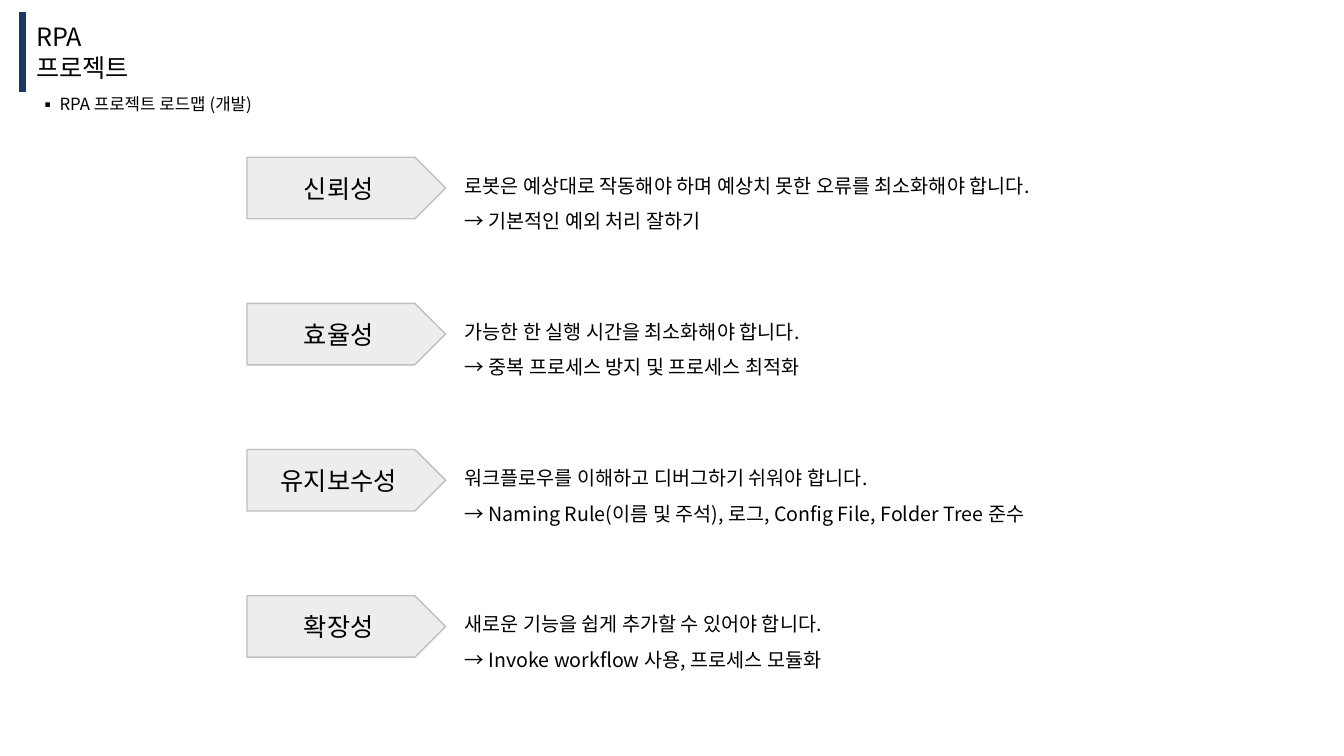
"""Build the RPA roadmap slide: four development qualities, each with its guideline."""
from dataclasses import dataclass

from lxml import etree
from pptx import Presentation
from pptx import util as u
from pptx.dml.color import RGBColor
from pptx.enum import shapes, text
from pptx.oxml.ns import qn


@dataclass(frozen=True)
class Theme:
    font: str = "Noto Sans CJK KR"
    ink: RGBColor = RGBColor(0, 0, 0)
    accent: RGBColor = RGBColor(0x20, 0x38, 0x64)
    fill: RGBColor = RGBColor(0xED, 0xED, 0xED)
    edge: RGBColor = RGBColor(0xBF, 0xBF, 0xBF)
    heading: int = 18
    body: int = 14
    small: int = 12


def write(sp, content, size, align=text.PP_ALIGN.LEFT, spacing=1.0,
          anchor=text.MSO_ANCHOR.TOP):
    tf = sp.text_frame
    tf.text = content
    tf.word_wrap = True
    tf.auto_size = text.MSO_AUTO_SIZE.NONE
    tf.vertical_anchor = anchor
    for p in tf.paragraphs:
        p.alignment, p.line_spacing = align, spacing
        p.space_before = p.space_after = u.Pt(0)
        for r in p.runs:
            r.font.name, r.font.size = theme.font, u.Pt(size)
            r.font.color.rgb = theme.ink
            ea = etree.SubElement(r.font._element, qn("a:ea"))
            ea.set("typeface", theme.font)


def place(sp, *box):
    sp.left, sp.top, sp.width, sp.height = map(u.Inches, box)


theme = Theme()
prs = Presentation()
prs.slide_width, prs.slide_height = u.Inches(13.33), u.Inches(7.5)
s = prs.slides.add_slide(prs.slide_layouts[1])

title, body = s.placeholders
place(title, 0.26, 0.16, 1.2, 0.71)
write(title, "RPA\n프로젝트", theme.heading, anchor=text.MSO_ANCHOR.MIDDLE)

place(body, 0.29, 0.78, 2.33, 0.68)
write(body, "RPA 프로젝트 로드맵 (개발)", theme.small, spacing=1.5)
pPr = body.text_frame.paragraphs[0]._p.get_or_add_pPr()
pPr.set("marL", str(u.Inches(0.2)))
pPr.set("indent", str(u.Inches(-0.2)))
etree.SubElement(pPr, qn("a:buFont")).set("typeface", theme.font)
etree.SubElement(pPr, qn("a:buChar")).set("char", "▪")

bar = s.shapes.add_connector(shapes.MSO_CONNECTOR.STRAIGHT, u.Inches(0.22),
                             u.Inches(0.12), u.Inches(0.22), u.Inches(0.91))
bar.line.color.rgb, bar.line.width = theme.accent, u.Pt(5)
etree.SubElement(bar._element.spPr, qn("a:effectLst"))

label_col, detail_col = 2.45, 4.51
first_row, row_pitch = 1.56, 1.45
qualities = [
    ("신뢰성", 6.49, "로봇은 예상대로 작동해야 하며 예상치 못한 오류를 최소화해야 합니다.\n"
     "→ 기본적인 예외 처리 잘하기"),
    ("효율성", 3.94, "가능한 한 실행 시간을 최소화해야 합니다.\n"
     "→ 중복 프로세스 방지 및 프로세스 최적화"),
    ("유지보수성", 5.99, "워크플로우를 이해하고 디버그하기 쉬워야 합니다.\n"
     "→ Naming Rule(이름 및 주석), 로그, Config File, Folder Tree 준수"),
    ("확장성", 4.19, "새로운 기능을 쉽게 추가할 수 있어야 합니다.\n"
     "→ Invoke workflow 사용, 프로세스 모듈화"),
]
for row, (quality, width, detail) in enumerate(qualities):
    top = first_row + row * row_pitch
    sp = s.shapes.add_shape(shapes.MSO_SHAPE.PENTAGON, 0, 0, 0, 0)
    place(sp, label_col, top, 1.97, 0.61)
    sp.shadow.inherit = False
    sp.fill.solid()
    sp.fill.fore_color.rgb = theme.fill
    sp.line.color.rgb, sp.line.width = theme.edge, u.Pt(1)
    write(sp, quality, theme.heading, text.PP_ALIGN.CENTER,
          anchor=text.MSO_ANCHOR.MIDDLE)

    box = s.shapes.add_textbox(0, 0, 0, 0)
    place(box, detail_col, top, width, 0.76)
    write(box, detail, theme.body, spacing=1.5)

prs.save("out.pptx")
